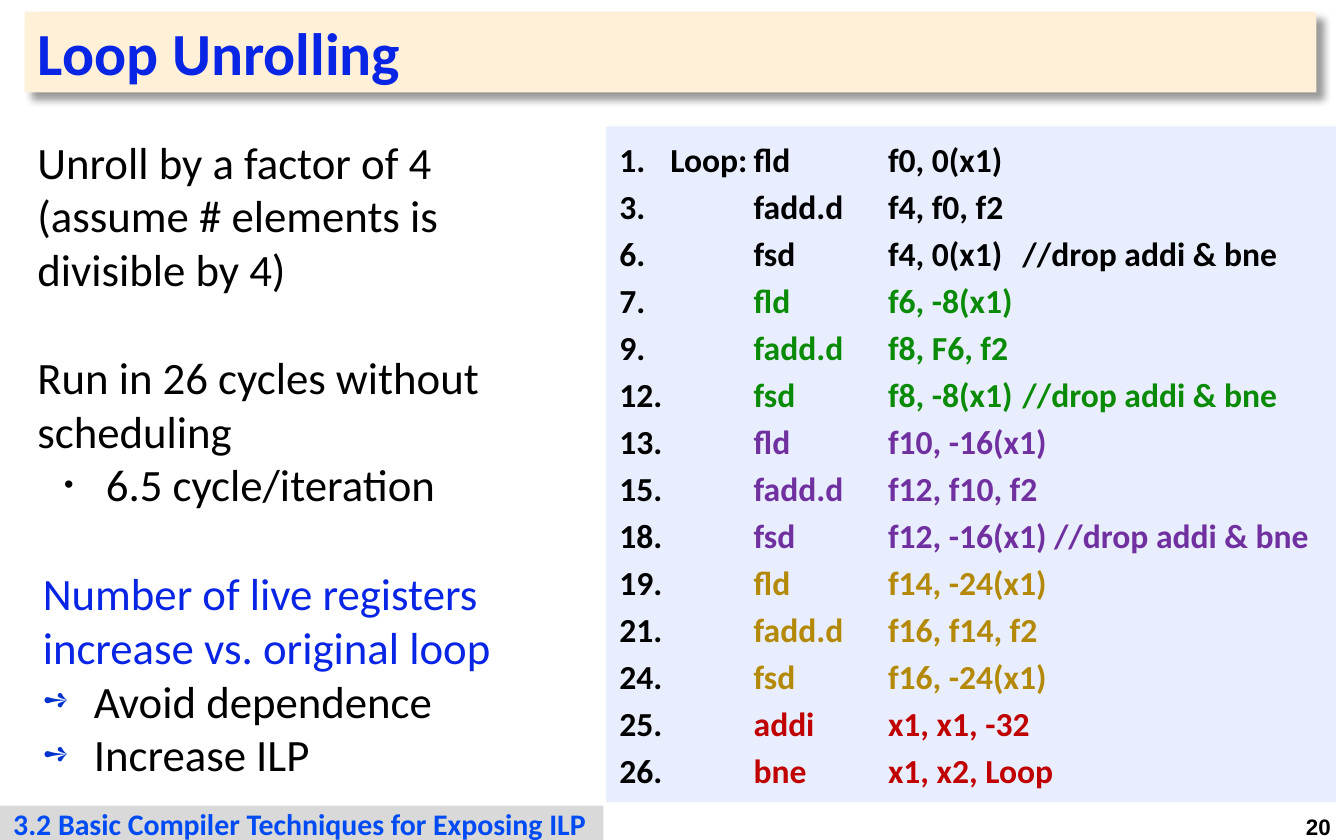
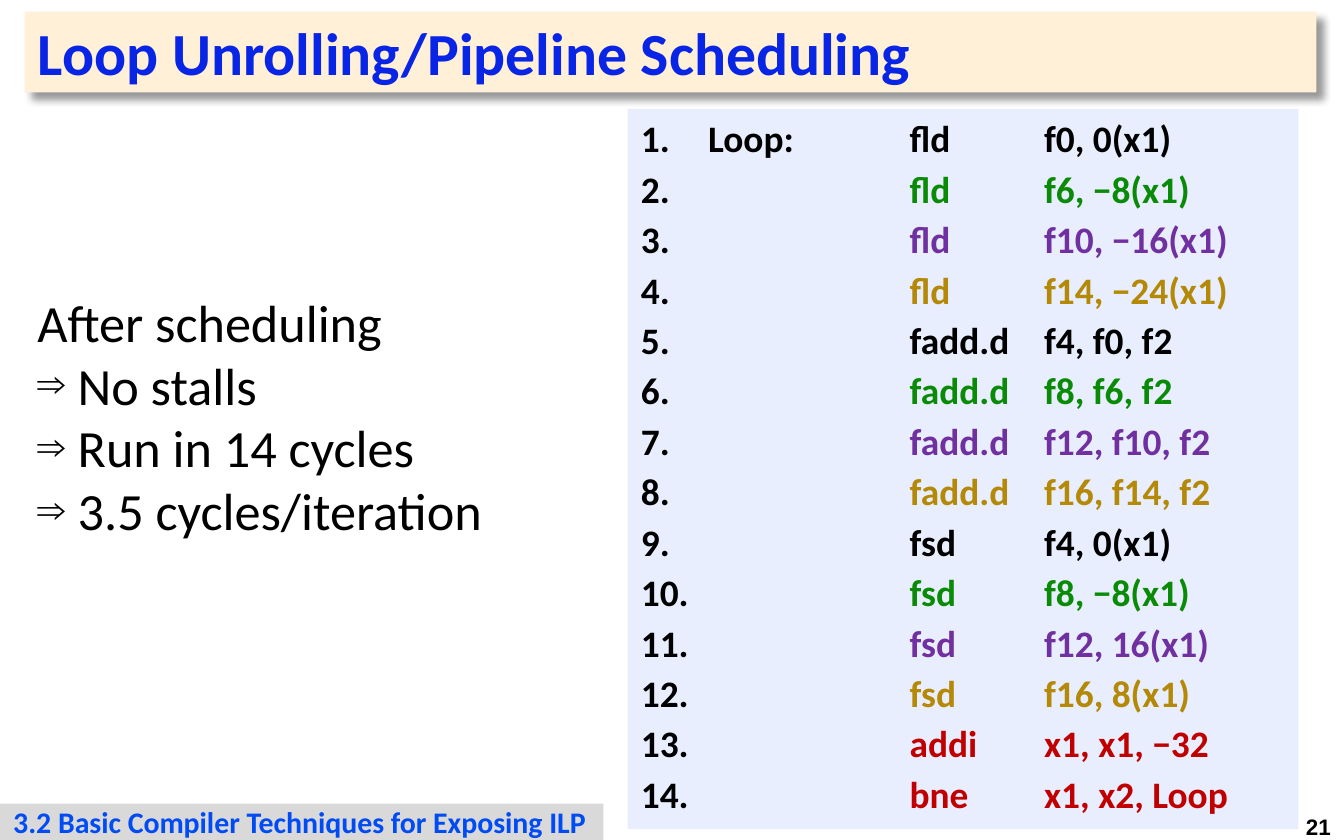
"""Build two slides on loop unrolling and pipeline scheduling."""
from lxml import etree
from pptx import Presentation
from pptx import util as u
from pptx.dml.color import RGBColor
from pptx.enum import shapes, text
from pptx.oxml import ns

COLORS = {
    "black": "000000", "title": "0824E5", "cream": "FFF0D7", "code": "E9EEFE",
    "band": "D9D9D9", "section": "004BF3", "arrow": "0033CC",
    "green": "0A8B07", "purple": "7030A0", "gold": "B38907", "red": "C00000",
}
SECTION = "3.2 Basic Compiler Techniques for Exposing ILP"

deck = Presentation()
deck.slide_width, deck.slide_height = u.Inches(10), u.Inches(6.25)


def add_box(page, percents, fill=None, kind=shapes.MSO_SHAPE.RECTANGLE,
            anchor=text.MSO_ANCHOR.TOP, margin=0.05):
    """Place a box by left, top, width and height in percent of the slide."""
    sizes = (deck.slide_width, deck.slide_height) * 2
    area = [round(size * share / 100) for size, share in zip(sizes, percents)]
    if fill:
        box = page.shapes.add_shape(kind, *area)
        box.shadow.inherit = False
        box.fill.solid()
        box.fill.fore_color.rgb = RGBColor.from_string(COLORS[fill])
        box.line.fill.background()
    else:
        box = page.shapes.add_textbox(*area)
    frame = box.text_frame
    frame.word_wrap = True
    frame.vertical_anchor = anchor
    frame.margin_left = frame.margin_right = u.Inches(0.1)
    frame.margin_top = frame.margin_bottom = u.Inches(margin)
    return box


def add_para(box, spans, size, bold=False, font="Calibri", before=0, indent=None,
             align=text.PP_ALIGN.LEFT, bullet=None):
    """Add a paragraph of (text, colour) spans; bullet is (tag, attributes, colour, percent)."""
    frame = box.text_frame
    para = frame.paragraphs[0] if not frame.text else frame.add_paragraph()
    para.alignment = align
    para.space_before = u.Pt(before)
    for words, tint in spans:
        span = para.add_run()
        span.text = words
        span.font.name, span.font.size, span.font.bold = font, u.Pt(size), bold
        span.font.color.rgb = RGBColor.from_string(COLORS[tint])
    if bullet:
        tag, attributes, tint, percent = bullet
        left, hang = indent
        props = para._p.get_or_add_pPr()
        props.set("marL", str(u.Inches(left)))
        props.set("indent", str(u.Inches(-hang)))
        props.set("defTabSz", str(u.Inches(1)))
        color = etree.SubElement(props, ns.qn("a:buClr"))
        etree.SubElement(color, ns.qn("a:srgbClr"), val=COLORS[tint])
        etree.SubElement(props, ns.qn("a:buSzPct"), val=str(percent * 1000))
        if tag == "a:buChar":
            etree.SubElement(props, ns.qn("a:buFont"), typeface="Arial")
        etree.SubElement(props, ns.qn(tag), **attributes)


UNROLLED = [
    (1, "fld\tf0, 0(x1)", "black"),
    (3, "fadd.d\tf4, f0, f2", "black"),
    (6, "fsd\tf4, 0(x1)\t//drop addi & bne", "black"),
    (7, "fld\tf6, -8(x1)", "green"),
    (9, "fadd.d\tf8, F6, f2", "green"),
    (12, "fsd\tf8, -8(x1)\t//drop addi & bne", "green"),
    (13, "fld\tf10, -16(x1)", "purple"),
    (15, "fadd.d\tf12, f10, f2", "purple"),
    (18, "fsd\tf12, -16(x1) //drop addi & bne", "purple"),
    (19, "fld\tf14, -24(x1)", "gold"),
    (21, "fadd.d\tf16, f14, f2", "gold"),
    (24, "fsd\tf16, -24(x1)", "gold"),
    (25, "addi\tx1, x1, -32", "red"),
    (26, "bne\tx1, x2, Loop", "red"),
]
SCHEDULED = [
    (1, "fld\tf0, 0(x1)", "black"),
    (2, "fld\tf6, −8(x1)", "green"),
    (3, "fld\tf10, −16(x1)", "purple"),
    (4, "fld\tf14, −24(x1)", "gold"),
    (5, "fadd.d\tf4, f0, f2", "black"),
    (6, "fadd.d\tf8, f6, f2", "green"),
    (7, "fadd.d\tf12, f10, f2", "purple"),
    (8, "fadd.d\tf16, f14, f2", "gold"),
    (9, "fsd\tf4, 0(x1)", "black"),
    (10, "fsd\tf8, −8(x1)", "green"),
    (11, "fsd\tf12, 16(x1)", "purple"),
    (12, "fsd\tf16, 8(x1)", "gold"),
    (13, "addi\tx1, x1, −32", "red"),
    (14, "bne\tx1, x2, Loop", "red"),
]

ARROW = ("a:buChar", {"char": "➺"}, "arrow", 70)
DOT = ("a:buChar", {"char": "•"}, "black", 60)
IMPLIES = ("a:buChar", {"char": "⇒"}, "black", 75)

SLIDES = [
    {
        "title": "Loop Unrolling", "number": 20, "band_top": 95.92,
        "notes": [
            ((2.2, 66.56, 35.6, 27.52), 24, (0.38, 0.38), [
                ("Number of live registers increase vs. original loop", "title", None, 0),
                ("Avoid dependence", "black", ARROW, 0),
                ("Increase ILP", "black", ARROW, 0)]),
            ((1.8, 15.2, 36.4, 46.88), 24, (0.51, 0.31), [
                ("Unroll by a factor of 4 (assume # elements is divisible by 4)", "black", None, 0),
                ("Run in 26 cycles without scheduling", "black", None, 29),
                ("6.5 cycle/iteration", "black", DOT, 0)]),
        ],
        "code": UNROLLED, "area": (45.1, 15.04, 54.3, 80.48), "size": 18,
        "anchor": text.MSO_ANCHOR.MIDDLE, "margin": 0, "hang": 0.38,
        "lead": "\t", "loop": "Loop:\t", "first_gap": 12, "gap": 3.6,
    },
    {
        "title": "Loop Unrolling/Pipeline Scheduling", "number": 21, "band_top": 95.68,
        "notes": [
            ((1.8, 33.76, 39.2, 39.36), 28, (0.3, 0.3), [
                ("After scheduling", "black", None, 0),
                ("No stalls", "black", IMPLIES, 0),
                ("Run in 14 cycles", "black", IMPLIES, 0),
                ("3.5 cycles/iteration", "black", IMPLIES, 0)]),
        ],
        "code": SCHEDULED, "area": (46.7, 12.96, 49.9, 85.76), "size": 20,
        "anchor": text.MSO_ANCHOR.TOP, "margin": 0.05, "hang": 0.5,
        "lead": "\t\t", "loop": "Loop:\t", "first_gap": 3, "gap": 3,
    },
]

for plan in SLIDES:
    page = deck.slides.add_slide(deck.slide_layouts[6])

    number_box = add_box(page, (93.7, 96, 6.3, 4.8))
    add_para(number_box, [(str(plan["number"]), "black")], 12, bold=True, font="Arial",
             align=text.PP_ALIGN.RIGHT)

    title_box = add_box(page, (1.84, 1.4, 96.1, 9.6), "cream",
                        shapes.MSO_SHAPE.ROUNDED_RECTANGLE, text.MSO_ANCHOR.MIDDLE)
    title_box.adjustments[0] = 0
    effects = title_box._element.spPr.find(ns.qn("a:effectLst"))
    shadow = etree.SubElement(effects, ns.qn("a:outerShdw"), blurRad=str(u.Pt(4)),
                              dist=str(u.Pt(5)), dir=str(45 * 60000), algn="tl")
    shade = etree.SubElement(shadow, ns.qn("a:srgbClr"), val=COLORS["black"])
    etree.SubElement(shade, ns.qn("a:alpha"), val="40000")
    add_para(title_box, [(plan["title"], "title")], 32, bold=True)

    for area, size, indent, lines in plan["notes"]:
        note_box = add_box(page, area)
        for words, tint, bullet, before in lines:
            add_para(note_box, [(words, tint)], size, before=before, indent=indent, bullet=bullet)

    code_box = add_box(page, plan["area"], "code", anchor=plan["anchor"], margin=plan["margin"])
    previous = start = 0
    for cycle, instruction, tint in plan["code"]:
        first = previous == 0
        if first or cycle != previous + 1:
            start = cycle
        previous = cycle
        numbering = ("a:buAutoNum", {"type": "arabicPeriod", "startAt": str(start)}, "black", 100)
        add_para(code_box, [(plan["loop"] if first else plan["lead"], "black"), (instruction, tint)],
                 plan["size"], bold=True, before=plan["first_gap"] if first else plan["gap"],
                 indent=(plan["hang"], plan["hang"]), bullet=numbering)

    band = add_box(page, (0, plan["band_top"], 44.9, 4.32), "band", margin=0)
    add_para(band, [(SECTION, "section")], 16, bold=True)

deck.save("out.pptx")
